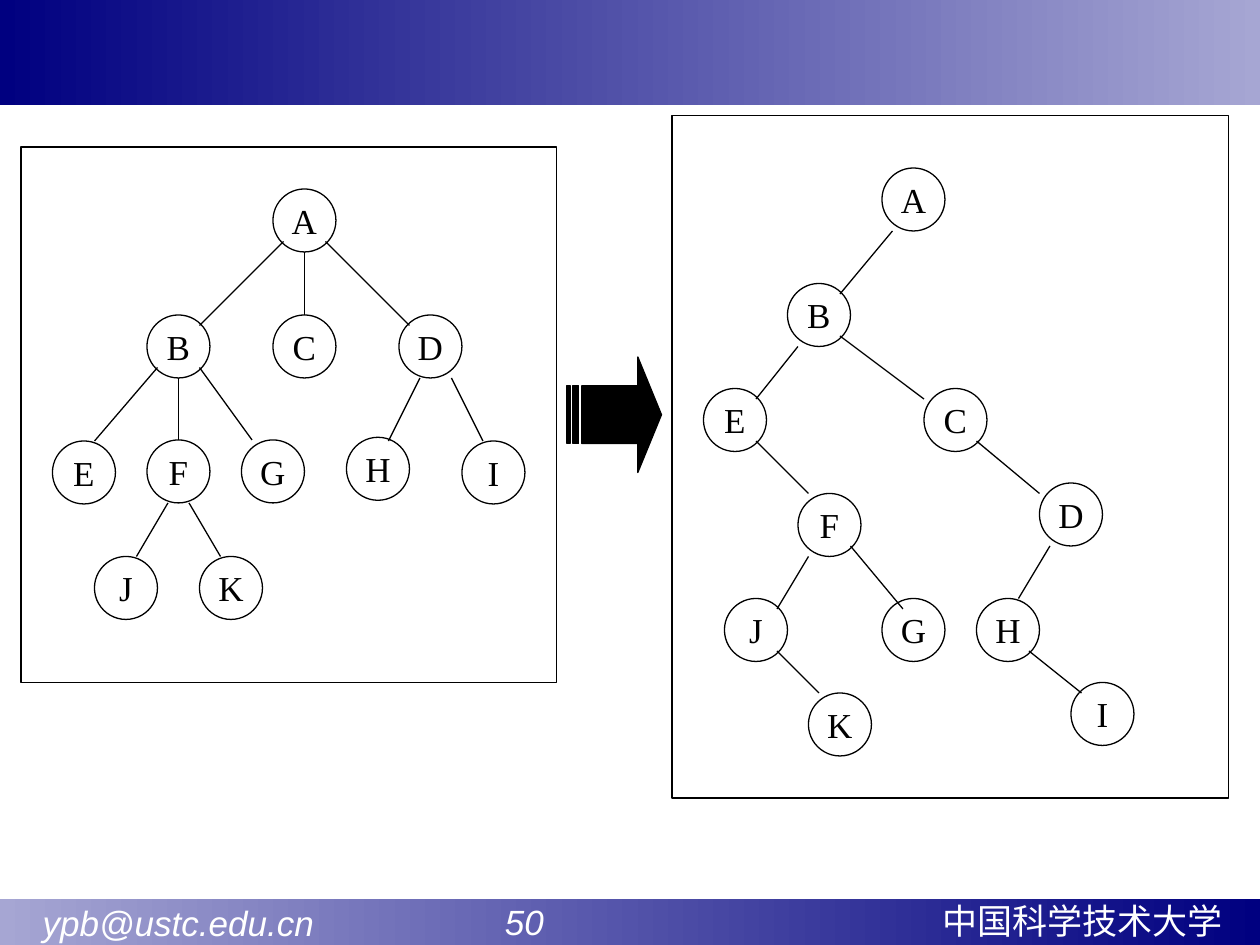
from lxml.etree import SubElement
from pptx import Presentation
from pptx.dml.color import RGBColor
from pptx.enum.shapes import MSO_CONNECTOR, MSO_SHAPE
from pptx.enum.text import MSO_ANCHOR, PP_ALIGN
from pptx.oxml.ns import qn
from pptx.util import Cm, Pt

COLORS = {"navy": "000080", "lavender": "A6A6D3", "ink": "000000", "white": "FFFFFF"}
SLIDE_WIDTH, SLIDE_HEIGHT = 25.4, 19.05
GRID = 2.54 / 12
NODE = 6

GENERAL_TREE = {
    "nodes": {
        "A": (24, 4), "B": (12, 16), "C": (24, 16), "D": (36, 16),
        "E": (3, 28), "F": (12, 27.9), "G": (21, 27.9), "H": (31, 27.65),
        "I": (42, 28), "J": (7, 39), "K": (17, 39),
    },
    "edges": [
        ("A", (1, 5), "B", (5, 1)), ("A", (5, 5), "D", (1, 1)),
        ("A", (3, 6), "C", (3, 0)), ("B", (1, 5), "E", (4, 0)),
        ("B", (5, 5), "G", (1, 0)), ("B", (3, 6), "F", (3, 0)),
        ("D", (2, 6), "H", (4, 0.35)), ("D", (5, 6), "I", (2, 0)),
        ("F", (2, 6), "J", (4, 0)), ("F", (4, 6), "K", (2, 0)),
    ],
}
BINARY_TREE = {
    "nodes": {
        "A": (20, 5), "B": (11, 16), "C": (24, 26), "E": (3, 26),
        "F": (12, 36), "G": (20, 46), "J": (5, 46), "K": (13, 55),
        "D": (35, 35), "H": (29, 46), "I": (38, 54),
    },
    "edges": [
        ("A", (1, 6), "B", (5, 1)), ("B", (1, 6), "E", (5, 1)),
        ("B", (5, 5), "C", (0, 1)), ("C", (5, 5), "D", (0, 1)),
        ("E", (5, 5), "F", (1, 0)), ("F", (5, 5), "G", (2, 1)),
        ("F", (1, 6), "J", (5, 1)), ("J", (5, 5), "K", (1, 0)),
        ("D", (1, 6), "H", (4, 0)), ("H", (5, 5), "I", (1, 1)),
    ],
}


def color(name):
    return RGBColor.from_string(COLORS[name])


def on_grid(*values):
    return [Cm(value * GRID) for value in values]


def set_font(paragraph, family, ink, italic=False):
    paragraph.font.name = family
    paragraph.font.size = Pt(20)
    paragraph.font.italic = italic
    paragraph.font.color.rgb = color(ink)


def ink_line(line):
    line.color.rgb = color("ink")
    line.width = Pt(0.75)


def add_outline(slide, kind, box):
    outline = slide.shapes.add_shape(kind, *on_grid(*box))
    outline.shadow.inherit = False
    outline.fill.background()
    ink_line(outline.line)
    return outline


def add_band(slide, box, start, end):
    band = slide.shapes.add_shape(MSO_SHAPE.RECTANGLE, *map(Cm, box))
    band.shadow.inherit = False
    band.line.fill.background()
    band.fill.gradient()
    band.fill.gradient_angle = 0
    for stop, name in zip(band.fill.gradient_stops, (start, end)):
        stop.color.rgb = color(name)


def add_footer(slide, box):
    left, top, width, height = box
    add_band(slide, box, "lavender", "navy")
    entries = [
        ("中国科学技术大学", 18.75, -0.13, 6.53, False),
        ("50", 9.93, -0.1, 3.73, True),
        ("ypb@ustc.edu.cn", 0.61, -0.08, 6.17, True),
    ]
    for words, dx, dy, entry_width, italic in entries:
        entry = slide.shapes.add_textbox(
            Cm(left + dx), Cm(top + dy), Cm(entry_width), Cm(1.1))
        entry.text_frame.word_wrap = italic
        entry.text_frame.text = words
        set_font(entry.text_frame.paragraphs[0], "Arial", "white", italic)


def add_node(slide, letter, x, y):
    node = add_outline(slide, MSO_SHAPE.OVAL, (x, y, NODE, NODE))
    frame = node.text_frame
    frame.word_wrap = False
    frame.vertical_anchor = MSO_ANCHOR.MIDDLE
    frame.text = letter
    frame.paragraphs[0].alignment = PP_ALIGN.CENTER
    set_font(frame.paragraphs[0], "Times New Roman", "ink")


def add_edge(slide, start, end):
    edge = slide.shapes.add_connector(MSO_CONNECTOR.STRAIGHT, *on_grid(*start, *end))
    ink_line(edge.line)
    SubElement(edge._element.spPr, qn("a:effectLst"))


def add_tree(slide, box, tree):
    left, top = box[:2]
    corners = {letter: (left + x, top + y) for letter, (x, y) in tree["nodes"].items()}
    for letter, corner in corners.items():
        add_node(slide, letter, *corner)
    for parent, leaving, child, arriving in tree["edges"]:
        start = [a + b for a, b in zip(corners[parent], leaving)]
        end = [a + b for a, b in zip(corners[child], arriving)]
        add_edge(slide, start, end)
    add_outline(slide, MSO_SHAPE.RECTANGLE, box)


def add_conversion_arrow(slide, box):
    arrow = add_outline(slide, MSO_SHAPE.STRIPED_RIGHT_ARROW, box)
    arrow.adjustments[0] = 0.5
    arrow.adjustments[1] = 0.25
    arrow.fill.solid()
    arrow.fill.fore_color.rgb = color("ink")


def main():
    deck = Presentation()
    deck.slide_width, deck.slide_height = Cm(SLIDE_WIDTH), Cm(SLIDE_HEIGHT)
    slide = deck.slides.add_slide(deck.slide_layouts[6])
    add_footer(slide, (0, 18.13, SLIDE_WIDTH, 1))
    add_band(slide, (0, 0, SLIDE_WIDTH, 2.12), "navy", "lavender")
    add_tree(slide, (2, 14, 51, 51), GENERAL_TREE)
    add_tree(slide, (64, 11, 53, 65), BINARY_TREE)
    add_conversion_arrow(slide, (54, 34, 9, 11))
    deck.save("out.pptx")


if __name__ == "__main__":
    main()
